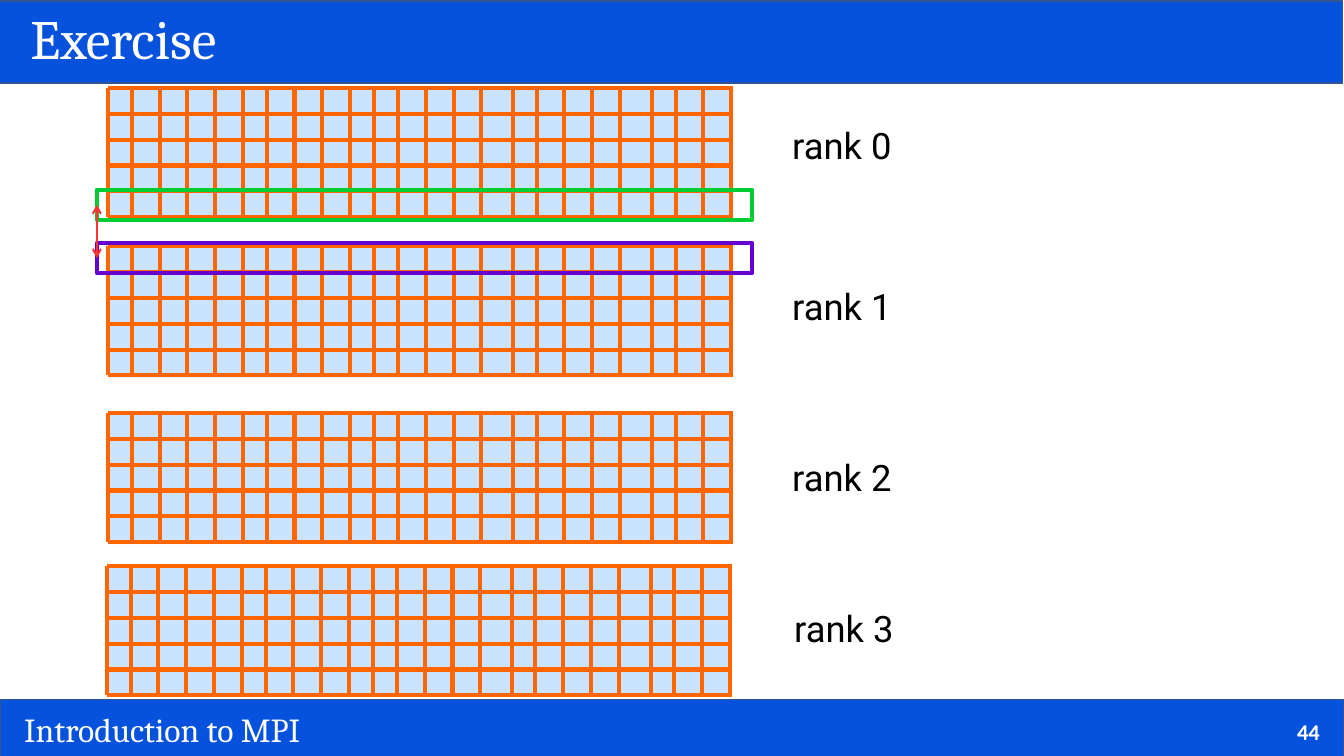
"""Build the exercise slide: a grid split by rows over four MPI ranks."""
from lxml import etree
from pptx import Presentation
from pptx import util as u
from pptx.dml.color import RGBColor
from pptx.enum import shapes, text
from pptx.oxml.ns import qn

TITLE, FOOTER, PAGE = "Exercise", "Introduction to MPI", "44"
COLORS = {"bar": "0652DD", "edge": "325491", "cell": "3399FF", "grid": "FF6600",
          "send": "00CC33", "receive": "6600CC", "arrow": "FF3333",
          "light": "FFFFFF", "dark": "000000"}
BARS = [(0, 17.63, 33.86, 1.52), (-0.03, 0.03, 33.86, 2.06)]
RANKS = [
    {"label": "rank 0", "grid": (2.72, 2.22), "at": (19.71, 2.97)},
    {"label": "rank 1", "grid": (2.72, 6.21), "at": (19.71, 7.04)},
    {"label": "rank 2", "grid": (2.72, 10.41), "at": (19.71, 11.35)},
    {"label": "rank 3", "grid": (2.69, 14.27), "at": (19.76, 15.16)},
]
GRID_W, GRID_H, ROW_H, ROWS = 15.75, 3.3, 0.65, 5
COLUMN_GROUPS = [0, 3.4, 6.71, 10.2, 13.7]
COLUMN_STEPS = [0, 0.6, 1.3, 2.0, 2.7]
COLUMNS = [g + c for g in COLUMN_GROUPS for c in COLUMN_STEPS][:-1]
HALOS = [("receive", 6.12), ("send", 4.78)]
HALO_X, HALO_W, HALO_H = 2.44, 16.51, 0.76
GRID_PT = 2.89

prs = Presentation()
prs.slide_width, prs.slide_height = u.Cm(33.86), u.Cm(19.05)
s = prs.slides.add_slide(prs.slide_layouts[5])


def rgb(name):
    return RGBColor.from_string(COLORS[name])


def rect(x, y, w, h, fill=None, line=None, pt=1, alpha=None):
    sp = s.shapes.add_shape(shapes.MSO_SHAPE.RECTANGLE, *map(u.Cm, (x, y, w, h)))
    sp.shadow.inherit = False
    if fill:
        sp.fill.solid()
        sp.fill.fore_color.rgb = rgb(fill)
    else:
        sp.fill.background()
    if alpha:
        clr = sp.element.spPr.find(".//" + qn("a:srgbClr"))
        etree.SubElement(clr, qn("a:alpha"), val=str(alpha * 1000))
    if line:
        sp.line.color.rgb = rgb(line)
        sp.line.width = u.Pt(pt)
    else:
        sp.line.fill.background()


def line(x1, y1, x2, y2, color="grid", pt=GRID_PT, arrows=False):
    cn = s.shapes.add_connector(shapes.MSO_CONNECTOR.STRAIGHT, *map(u.Cm, (x1, y1, x2, y2)))
    cn.line.color.rgb = rgb(color)
    cn.line.width = u.Pt(pt)
    if arrows:
        for end in ("a:headEnd", "a:tailEnd"):
            etree.SubElement(cn.line._get_or_add_ln(), qn(end), type="arrow")
    etree.SubElement(cn.element.spPr, qn("a:effectLst"))


def write(words, box, sp=None, size=26, font="Roboto", color="dark", bold=False,
          align=text.PP_ALIGN.LEFT, anchor=text.MSO_ANCHOR.TOP, wrap=True, spacing=None):
    sp = sp or s.shapes.add_textbox(0, 0, 0, 0)
    sp.left, sp.top, sp.width, sp.height = map(u.Cm, box)
    tf = sp.text_frame
    tf.word_wrap, tf.vertical_anchor = wrap, anchor
    p = tf.paragraphs[0]
    p.alignment, p.line_spacing = align, spacing
    r = p.add_run()
    r.text = words
    r.font.size, r.font.name, r.font.bold = u.Pt(size), font, bold
    r.font.color.rgb = rgb(color)


def grid(x, y):
    rect(x, y, GRID_W, GRID_H, fill="cell", alpha=26)
    for i in range(ROWS + 1):
        line(x, y + i * ROW_H, x + GRID_W, y + i * ROW_H)
    for dx in COLUMNS:
        line(x + dx, y + ROWS * ROW_H, x + dx, y)


for bar in BARS:
    rect(*bar, fill="bar", line="edge")
title = s.shapes.title
s.shapes.element.append(title.element)
write(TITLE, (0.51, 0.13, 29.21, 1.85), sp=title, size=39.6, font="Cambria",
      color="light", anchor=text.MSO_ANCHOR.MIDDLE, spacing=0.9)
write(FOOTER, (0.36, 17.75, 27, 1.27), size=24, font="Cambria", color="light")
write(PAGE, (32.28, 17.93, 1.22, 1.02), size=16, font="Calibri", color="light", bold=True,
      align=text.PP_ALIGN.RIGHT, anchor=text.MSO_ANCHOR.MIDDLE)

for rank in RANKS:
    grid(*rank["grid"])
    write(rank["label"], (*rank["at"], 6.1, 1.27), wrap=False)
for color, y in HALOS:
    rect(HALO_X, y, HALO_W, HALO_H, line=color, pt=GRID_PT)
ends = sorted(y + HALO_H / 2 for _, y in HALOS)
line(HALO_X, ends[0], HALO_X, ends[1], color="arrow", pt=1.45, arrows=True)

prs.save("out.pptx")
